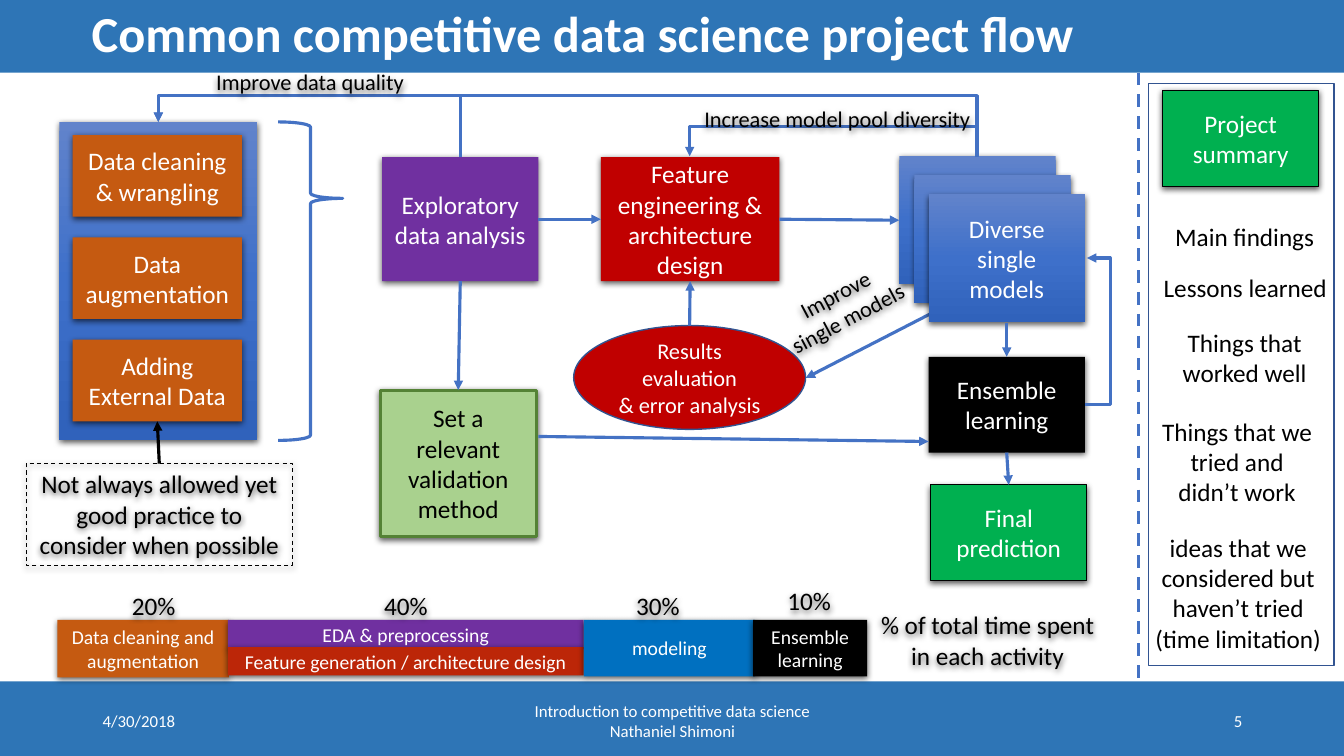
import copy

import pptx
import pptx.dml.color
import pptx.enum.dml
import pptx.enum.shapes
import pptx.enum.text
import pptx.oxml
import pptx.oxml.ns
import pptx.util
from pptx.util import Inches

SHAPE = pptx.enum.shapes.MSO_SHAPE
CONNECTOR = pptx.enum.shapes.MSO_CONNECTOR
ALIGN = pptx.enum.text.PP_ALIGN
ANCHOR = pptx.enum.text.MSO_ANCHOR
DASH = pptx.enum.dml.MSO_LINE.DASH
TOP, LEFT, BOTTOM, RIGHT = range(4)

BAND, ARROW, OUTLINE = "2E75B6", "4472C4", "325491"
ORANGE, PURPLE, RED, GREEN = "C55A11", "7030A0", "C00000", "00B050"
BLACK, WHITE = "000000", "FFFFFF"
BLUE_GRADIENT = ("6183CB", "3E70CA", "3062BB")
SHADOW = (
    f'<a:outerShdw {pptx.oxml.ns.nsdecls("a")} blurRad="57150" dist="19050" dir="5400000" '
    'algn="ctr" rotWithShape="0"><a:srgbClr val="000000"><a:alpha val="63000"/></a:srgbClr>'
    "</a:outerShdw>"
)


def rgb(value):
    return pptx.dml.color.RGBColor.from_string(value)


def add_xml(parent, tag, **attributes):
    child = pptx.oxml.parse_xml(f'<a:{tag} {pptx.oxml.ns.nsdecls("a")}/>')
    for key, value in attributes.items():
        child.set(key, str(value))
    parent.append(child)


class FlowSlide:
    font = "Calibri"

    def __init__(self, deck):
        self.slide = deck.slides.add_slide(deck.slide_layouts[5])
        self.shapes = self.slide.shapes

    def set_text(self, shape, text, size, color, align=ALIGN.CENTER, anchor=ANCHOR.MIDDLE, bold=False):
        frame = shape.text_frame
        frame.text = text
        frame.word_wrap = True
        frame.vertical_anchor = anchor
        for paragraph in frame.paragraphs:
            paragraph.alignment = align
            font = paragraph.font
            font.name, font.size, font.bold = self.font, pptx.util.Pt(size), bold
            font.color.rgb = rgb(color)

    def set_shadow(self, shape, shadow):
        shape.shadow.inherit = False
        if shadow:
            effects = shape.element.spPr.find(pptx.oxml.ns.qn("a:effectLst"))
            effects.append(pptx.oxml.parse_xml(SHADOW))

    def set_line(self, line, color, width, dashed=False):
        line.color.rgb = rgb(color)
        line.width = pptx.util.Pt(width)
        if dashed:
            line.dash_style = DASH

    def title(self, text, *place):
        title = self.shapes.title
        title.left, title.top, title.width, title.height = map(Inches, place)
        self.set_text(title, text, 36, WHITE, ALIGN.LEFT, bold=True)
        title.text_frame.paragraphs[0].line_spacing = 0.9

    def band(self, top):
        band = self.box((0, top, 13.33, 0.74), BAND, shadow=False)
        self.shapes.title.element.addprevious(band.element)

    def box(self, place, fill=None, text="", size=18, color=WHITE, line=None, dashed=False,
            kind=SHAPE.RECTANGLE, anchor=ANCHOR.MIDDLE, shadow=True, parent=None):
        shape = (parent or self).shapes.add_shape(kind, *map(Inches, place))
        if fill is None:
            shape.fill.background()
        elif isinstance(fill, tuple):
            self.gradient(shape, fill)
        else:
            shape.fill.solid()
            shape.fill.fore_color.rgb = rgb(fill)
        if line:
            self.set_line(shape.line, *line, dashed)
        else:
            shape.line.fill.background()
        self.set_shadow(shape, shadow)
        if text:
            self.set_text(shape, text, size, color, anchor=anchor)
        return shape

    def gradient(self, shape, colors):
        shape.fill.gradient()
        shape.fill.gradient_angle = 270
        stops = shape.element.spPr.find(".//" + pptx.oxml.ns.qn("a:gsLst"))
        stops.insert(1, copy.deepcopy(stops[0]))
        for index, stop in enumerate(shape.fill.gradient_stops):
            stop.position = index / 2
            stop.color.rgb = rgb(colors[index])

    def label(self, place, text, size=18, color=BLACK, align=ALIGN.CENTER, anchor=ANCHOR.TOP,
              shadow=False, rotation=0):
        label = self.shapes.add_textbox(*map(Inches, place))
        label.rotation = rotation
        self.set_shadow(label, shadow)
        self.set_text(label, text, size, color, align, anchor)

    def connector(self, start, end, color=ARROW, arrow=True, dashed=False, kind=CONNECTOR.STRAIGHT):
        connector = self.shapes.add_connector(kind, *map(Inches, start + end))
        self.set_line(connector.line, color, 2.25, dashed)
        if arrow:
            add_xml(connector.get_or_add_ln(), "tailEnd", type="triangle")
        add_xml(connector.element.spPr, "effectLst")
        return connector

    def join(self, source, source_side, target, target_side, color=ARROW):
        connector = self.connector((0, 0), (1, 1), color)
        connector.begin_connect(source, source_side)
        connector.end_connect(target, target_side)

    def elbow(self, start, end, lane, vertical=False):
        """Route upwards from start to end through a lane at x, or at y when vertical."""
        connector = self.connector(start, end, kind=CONNECTOR.ELBOW)
        axis = 1 if vertical else 0
        bend = (lane - start[axis]) / (end[axis] - start[axis])
        guides = connector.element.spPr.prstGeom.get_or_add_avLst()
        add_xml(guides, "gd", name="adj1", fmla=f"val {round(bend * 100000)}")
        if vertical:
            width, height = start[1] - end[1], start[0] - end[0]
            connector.left = Inches((start[0] + end[0] - width) / 2)
            connector.top = Inches((start[1] + end[1] - height) / 2)
            connector.width, connector.height = Inches(width), Inches(height)
            frame = connector.element.spPr.xfrm
            frame.set("rot", str(270 * 60000))
            frame.set("flipV", "1")
            frame.set("flipH", "0")


def main():
    deck = pptx.Presentation()
    deck.slide_width, deck.slide_height = Inches(13.33), Inches(7.5)
    flow = FlowSlide(deck)

    # Header and footer
    flow.band(-0.02)
    flow.band(6.76)
    flow.title("Common competitive data science project flow", 0.81, 0, 11.5, 0.72)
    for left, width, text, align in (
        (0.92, 3, "4/30/2018", ALIGN.LEFT),
        (4.42, 4.5, "Introduction to competitive data science\nNathaniel Shimoni", ALIGN.CENTER),
        (9.42, 3, "5", ALIGN.RIGHT),
    ):
        flow.label((left, 6.95, width, 0.4), text, 12, WHITE, align, ANCHOR.MIDDLE)

    # Data preparation
    flow.connector((9.41, 3.02), (7.99, 3.75))
    flow.box((0.59, 1.21, 1.96, 3.16), BLUE_GRADIENT)
    for row, step in enumerate(("Data cleaning & wrangling", "Data augmentation", "Adding External Data")):
        external_data = flow.box((0.72, 1.34 + 1.015 * row, 1.68, 0.81), ORANGE, step)
    caution = flow.box((0.26, 4.6, 2.64, 1.01), None,
                       "Not always allowed yet good practice to consider when possible",
                       color=BLACK, line=(BLACK, 0.75), dashed=True, anchor=ANCHOR.TOP)
    brace = flow.box((2.76, 1.21, 0.64, 3.16), line=(ARROW, 2.25), kind=SHAPE.RIGHT_BRACE, shadow=False)
    brace.adjustments[0], brace.adjustments[1] = 0.08, 0.24

    # Analysis and modeling
    exploration = flow.box((3.79, 1.56, 1.55, 1.23), PURPLE, "Exploratory data analysis")
    features = flow.box((5.96, 1.56, 1.77, 1.23), RED, "Feature engineering & architecture design")
    stack = flow.shapes.add_group_shape()
    first_model, _, top_model = [
        flow.box((left, top, 1.55, 1.27), BLUE_GRADIENT, text, parent=stack)
        for left, top, text in ((8.92, 1.55, ""), (9.07, 1.74, ""), (9.21, 1.93, "Diverse single models"))
    ]
    ensemble = flow.box((9.21, 3.54, 1.55, 0.95), BLACK, "Ensemble learning")
    prediction = flow.box((9.23, 4.81, 1.55, 0.95), GREEN, "Final prediction", line=(BLACK, 0.75))
    validation = flow.box((3.77, 3.87, 1.55, 1.45), "A9D18E", "Set a relevant validation method",
                          color=BLACK, line=("548235", 2.25))
    evaluation = flow.box((5.69, 3.23, 2.3, 1.03), RED, "Results evaluation\n& error analysis", 16,
                          line=(OUTLINE, 1), kind=SHAPE.OVAL, shadow=False)

    # Arrows between the steps
    flow.join(caution, TOP, external_data, BOTTOM, BLACK)
    flow.join(exploration, RIGHT, features, LEFT)
    flow.join(features, RIGHT, first_model, LEFT)
    flow.join(exploration, BOTTOM, validation, TOP)
    flow.join(top_model, BOTTOM, ensemble, TOP)
    flow.join(ensemble, BOTTOM, prediction, TOP)
    flow.join(evaluation, TOP, features, BOTTOM)
    flow.connector((5.34, 4.33), (9.21, 4.38))
    flow.elbow((10.76, 4.01), (10.78, 2.56), 11.01)
    flow.elbow((9.69, 1.55), (1.57, 1.21), 0.95, vertical=True)
    flow.elbow((4.57, 1.56), (1.57, 1.21), 0.95, vertical=True)
    flow.elbow((9.69, 1.56), (6.84, 1.55), 1.25, vertical=True)

    # Feedback labels
    flow.label((6.71, 0.99, 3.19, 0.37), "Increase model pool diversity", 16, shadow=True)
    flow.label((6.75, 2.72, 3.19, 0.64), "Improve\nsingle models", 16, shadow=True, rotation=332.1)
    flow.label((1.48, 0.63, 3.19, 0.37), "Improve data quality", 16, shadow=True)

    # Project summary
    flow.connector((11.29, 0.72), (11.29, 6.78), arrow=False, dashed=True)
    flow.box((11.39, 0.83, 1.84, 5.77), line=(OUTLINE, 1), shadow=False)
    flow.box((11.53, 0.9, 1.55, 0.95), GREEN, "Project summary", line=(BLACK, 0.75))
    for place, text in (
        ((11.53, 2.15, 1.63, 0.4), "Main findings"),
        ((11.39, 2.65, 1.92, 0.4), "Lessons learned"),
        ((11.53, 3.2, 1.63, 0.71), "Things that worked well"),
        ((11.39, 4.08, 1.76, 1.01), "Things that we tried and didn’t work"),
        ((11.32, 5.23, 1.92, 1.31), "ideas that we considered but haven’t tried (time limitation)"),
    ):
        flow.label(place, text)

    # Share of time per activity
    for left, top, width, height, color, activity in (
        (0.57, 6.15, 1.7, 0.57, ORANGE, "Data cleaning and augmentation"),
        (2.26, 6.15, 3.53, 0.29, PURPLE, "EDA & preprocessing"),
        (2.26, 6.42, 3.53, 0.28, "BC2608", "Feature generation / architecture design"),
        (5.79, 6.15, 1.7, 0.56, "0070C0", "modeling"),
        (7.47, 6.15, 1.13, 0.56, BLACK, "Ensemble learning"),
    ):
        flow.box((left, top, width, height), color, activity, 14)
    for left, top, share in ((1.2, 5.81, "20%"), (3.7, 5.81, "40%"), (6.2, 5.81, "30%"), (7.7, 5.76, "10%")):
        flow.label((left, top, 0.65, 0.4), share, shadow=True)
    flow.label((8.6, 6, 2.39, 0.71), "% of total time spent in each activity", shadow=True)

    deck.save("out.pptx")


if __name__ == "__main__":
    main()
